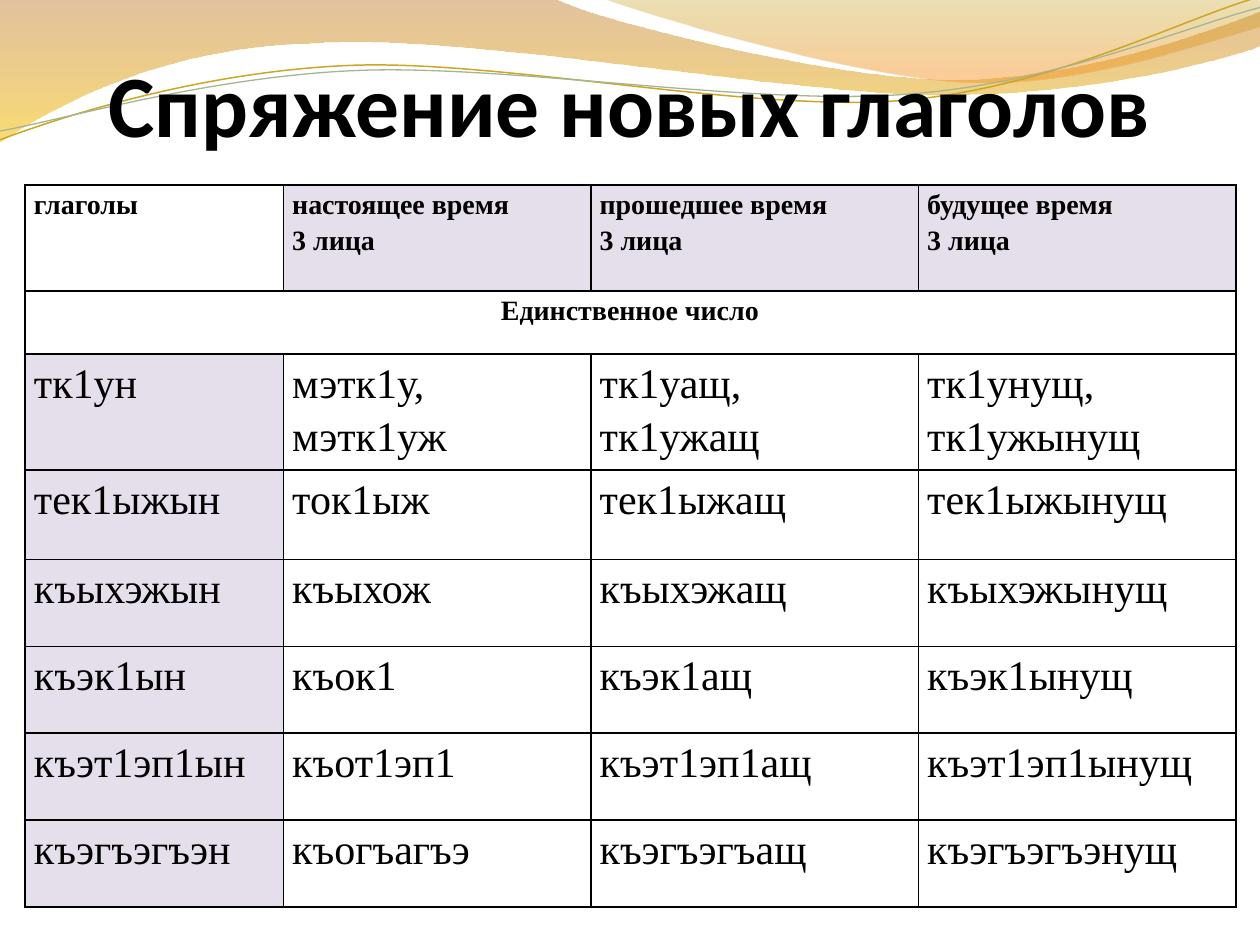
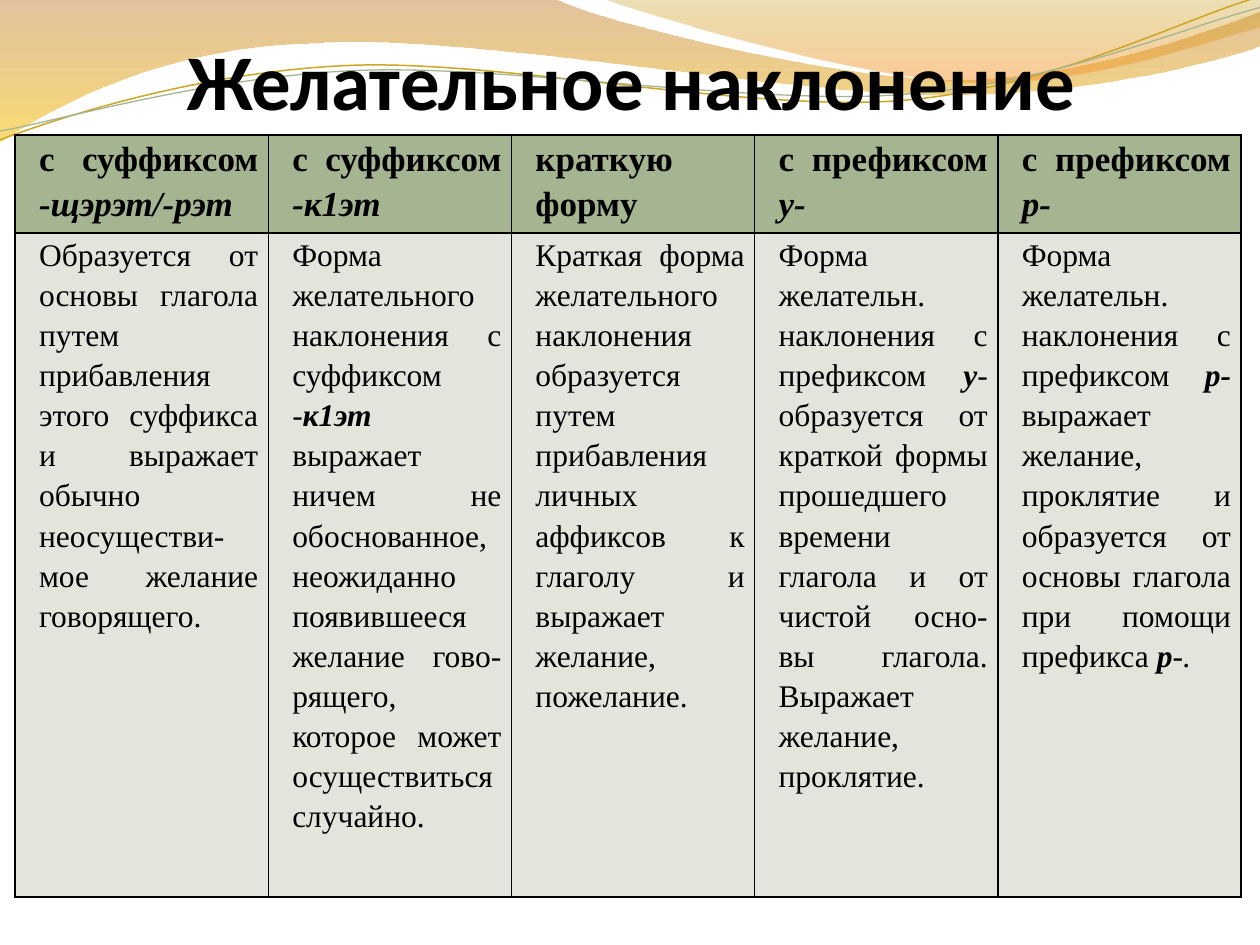
"""Build two slides on verb conjugation and the optative mood."""
from dataclasses import dataclass

from lxml.etree import SubElement as Sub
from pptx import Presentation
from pptx.dml.color import RGBColor as Rgb
from pptx.enum.text import MSO_ANCHOR as Anchor, PP_ALIGN as Align
from pptx.oxml import parse_xml
from pptx.oxml.ns import nsdecls, qn
from pptx.util import Inches, Pt


@dataclass(frozen=True)
class Theme:
    ink: str = "000000"
    lilac: str = "E5DFEC"
    sage: str = "A5B592"
    pale: str = "E1E5DC"
    gold: str = "CCA624"
    head: str = "Calibri"
    body: str = "Times New Roman"
    small: int = 16
    text: int = 18
    label: int = 20
    large: int = 24


T = Theme()

BANDS = [
    ([(0, 0), (4.4, -0.01),
      [(4.76, 0.17), (6.64, 0.63), (7.58, 0.63)],
      [(8.53, 0.63), (9.58, 0.26), (10, 0.09)], (10.01, 0.36),
      [(9.83, 0.44), (8.7, 0.76), (7.46, 0.75)],
      [(6.22, 0.75), (3.82, 0.28), (2.57, 0.34)],
      [(1.29, 0.36), (0.46, 0.83), (-0.01, 1.13)]],
     [(0, "C07A28", 45), (1, "F7BF00", 55)]),
    ([(4.79, -0.01),
      [(5.09, 0.11), (6.82, 0.62), (7.69, 0.65)],
      [(8.56, 0.69), (9.61, 0.32), (10, 0.21)], (10, 0)],
     [(0, "C09709", 30), (0.8, "F59320", 45)]),
]
WAVES = [
    ([(0, 1.11),
      [(0.48, 0.93), (1.58, 0.57), (2.77, 0.52)],
      [(3.95, 0.47), (5.93, 0.89), (7.13, 0.8)],
      [(8.33, 0.71), (9.38, 0.15), (9.98, -0.02)]], T.gold, 0.85),
    ([(0, 1.04),
      [(0.47, 0.96), (1.64, 0.61), (2.83, 0.56)],
      [(4.03, 0.51), (5.97, 0.84), (7.17, 0.75)],
      [(8.36, 0.67), (9.41, 0.21), (10, 0.06)]], T.sage, 0.75),
]

TENSES = ["глаголы", "настоящее время\n3 лица", "прошедшее время\n3 лица",
          "будущее время\n3 лица"]
NUMBER = "Единственное число"
VERBS = [
    ["тк1ун", "мэтк1у, мэтк1уж", "тк1уащ, тк1ужащ", "тк1унущ, тк1ужынущ"],
    ["тек1ыжын", "ток1ыж", "тек1ыжащ", "тек1ыжынущ"],
    ["къыхэжын", "къыхож", "къыхэжащ", "къыхэжынущ"],
    ["къэк1ын", "къок1", "къэк1ащ", "къэк1ынущ"],
    ["къэт1эп1ын", "къот1эп1", "къэт1эп1ащ", "къэт1эп1ынущ"],
    ["къэгъэгъэн", "къогъагъэ", "къэгъэгъащ", "къэгъэгъэнущ"],
]

FORMS = [
    ([("с суффиксом ", "b"), ("-щэрэт/-рэт", "bi")],
     [("Образуется от основы глагола путем прибавления этого суффикса "
       "и выражает обычно неосуществи-мое желание говорящего.", "")]),
    ([("с суффиксом ", "b"), ("-к1эт", "bi")],
     [("Форма желательного наклонения с суффиксом ", ""), ("-", "i"),
      ("к1эт ", "bi"),
      ("выражает ничем не обоснованное, неожиданно появившееся желание "
       "гово-рящего, которое может осуществиться случайно.", "")]),
    ([("краткую форму", "b")],
     [("Краткая форма желательного наклонения образуется путем "
       "прибавления личных аффиксов к глаголу и выражает желание, "
       "пожелание.", "")]),
    ([("с префиксом ", "b"), ("у-", "bi")],
     [("Форма желательн. наклонения с префиксом ", ""), ("у", "bi"),
      ("- ", "i"),
      ("образуется от краткой формы прошедшего времени глагола и от "
       "чистой осно-вы глагола. Выражает желание, проклятие.", "")]),
    ([("с префиксом ", "b"), ("р-", "bi")],
     [("Форма желательн. наклонения с префиксом ", ""), ("р- ", "bi"),
      ("выражает желание, проклятие и образуется от основы глагола при "
       "помощи префикса ", ""), ("р", "bi"), ("-.", "i")]),
]


def outline(slide, steps, close):
    """Draw one freeform of lines and Bezier triples, without a shadow."""
    dots = []
    for step in steps:
        dots += step if isinstance(step, list) else [step]
    first, *rest = [(Inches(x), Inches(y)) for x, y in dots]
    pen = slide.shapes.build_freeform(*first)
    pen.add_line_segments(rest, close=close)
    shape = pen.convert_to_shape()
    shape.shadow.inherit = False
    legs = iter(list(shape.element.iter(qn("a:lnTo"))))
    for step in steps[1:]:
        leg = next(legs)
        if isinstance(step, list):
            leg.tag = qn("a:cubicBezTo")
            for _ in step[1:]:
                extra = next(legs)
                leg.append(extra[0])
                extra.getparent().remove(extra)
    return shape


def shade(band, stops):
    """Give a band its see-through gradient."""
    band.line.fill.background()
    band.fill.gradient()
    band.fill.gradient_angle = 270
    for stop, (place, tone, _) in zip(band.fill.gradient_stops, stops):
        stop.position = place
        stop.color.rgb = Rgb.from_string(tone)
    tones = band.element.spPr.iter(qn("a:srgbClr"))
    for node, (_, _, alpha) in zip(tones, stops):
        Sub(node, qn("a:alpha"), val=str(alpha * 1000))


def backdrop(slide, layout):
    """Draw the bands and waves, then hand them to the shared layout."""
    for holder in list(layout.placeholders):
        layout.shapes.element.remove(holder.element)
    for steps, stops in BANDS:
        shade(outline(slide, steps, True), stops)
    for steps, tone, width in WAVES:
        wave = outline(slide, steps, False)
        wave.fill.background()
        wave.line.color.rgb = Rgb.from_string(tone)
        wave.line.width = Pt(width)
    for shape in list(slide.shapes):
        layout.shapes.element.append(shape.element)


def style(font, name):
    """Set the face and ink of a font."""
    font.name = name
    font.color.rgb = Rgb.from_string(T.ink)


def title(slide, text, box, size):
    """Add the slide title."""
    frame = slide.shapes.add_textbox(*map(Inches, box)).text_frame
    frame.word_wrap = True
    frame.vertical_anchor = Anchor.BOTTOM
    frame.margin_left = frame.margin_right = frame.margin_bottom = 0
    frame.margin_top = Inches(0.05)
    para = frame.paragraphs[0]
    para.text, para.alignment = text, Align.CENTER
    style(para.font, T.head)
    para.font.size, para.font.bold = Pt(size), True


def border(cell):
    """Rule all four sides of a cell."""
    props = cell._tc.get_or_add_tcPr()
    for n, side in enumerate("LRTB"):
        props.insert(n, parse_xml(
            f'<a:ln{side} {nsdecls("a")} w="12700"><a:solidFill>'
            f'<a:srgbClr val="{T.ink}"/></a:solidFill></a:ln{side}>'))


def grid(slide, box, cols, rows):
    """Add a plain ruled table."""
    table = slide.shapes.add_table(
        len(rows), len(cols), *map(Inches, box)).table
    table.first_row = table.horz_banding = False
    for col, width in zip(table.columns, cols):
        col.width = Inches(width)
    for row, height in zip(table.rows, rows):
        row.height = Inches(height)
    for cell in table.iter_cells():
        cell.margin_left, cell.margin_right = Inches(0.07), Inches(0.08)
        cell.margin_top = cell.margin_bottom = 0
        cell.fill.background()
        border(cell)
    return table


def write(cell, lines, size, tone=None, align=Align.JUSTIFY, indent=0):
    """Fill a cell with lines, each a list of runs marked b or i."""
    if tone:
        cell.fill.solid()
        cell.fill.fore_color.rgb = Rgb.from_string(tone)
    frame = cell.text_frame
    for n, line in enumerate(lines):
        para = frame.add_paragraph() if n else frame.paragraphs[0]
        para.alignment, para.line_spacing = align, 1.15
        if indent:
            para._p.get_or_add_pPr().set("marL", str(Inches(indent)))
        style(para.font, T.body)
        for text, marks in line:
            run = para.add_run()
            run.text, run.font.size = text, Pt(size)
            run.font.bold, run.font.italic = "b" in marks, "i" in marks


def verbs(slide):
    """Build the conjugation slide."""
    title(slide, "Спряжение новых глаголов", (0.2, 0.21, 9.6, 1.02), 50)
    table = grid(slide, (0.2, 1.47, 9.61, 5.75), [2.05, 2.44, 2.6, 2.52],
                 [0.84, 0.5, 0.84, 0.71] + [0.69] * 4)
    for c, text in enumerate(TENSES):
        write(table.cell(0, c), [[(line, "b")] for line in text.split("\n")],
              T.small, T.lilac if c else None)
    table.cell(1, 0).merge(table.cell(1, 3))
    write(table.cell(1, 0), [[(NUMBER, "b")]], T.small, align=Align.CENTER)
    for r, row in enumerate(VERBS, 2):
        for c, text in enumerate(row):
            write(table.cell(r, c), [[(text, "")]], T.large,
                  None if c else T.lilac)


def mood(slide):
    """Build the optative mood slide."""
    title(slide, "Желательное наклонение", (0.51, 0.21, 9, 0.79), 45)
    table = grid(slide, (0.12, 1.07, 9.74, 6.05), [2.01] + [1.93] * 4,
                 [0.78, 5.27])
    looks = [(T.label, T.sage), (T.text, T.pale)]
    for c, form in enumerate(FORMS):
        for r, (runs, (size, tone)) in enumerate(zip(form, looks)):
            write(table.cell(r, c), [runs], size, tone, indent=0.12)


def main():
    """Build and save the deck."""
    deck = Presentation()
    deck.slide_width, deck.slide_height = Inches(10), Inches(7.5)
    blank = deck.slide_layouts[6]
    first, second = (deck.slides.add_slide(blank) for _ in range(2))
    backdrop(first, blank)
    verbs(first)
    mood(second)
    deck.save("out.pptx")


if __name__ == "__main__":
    main()
